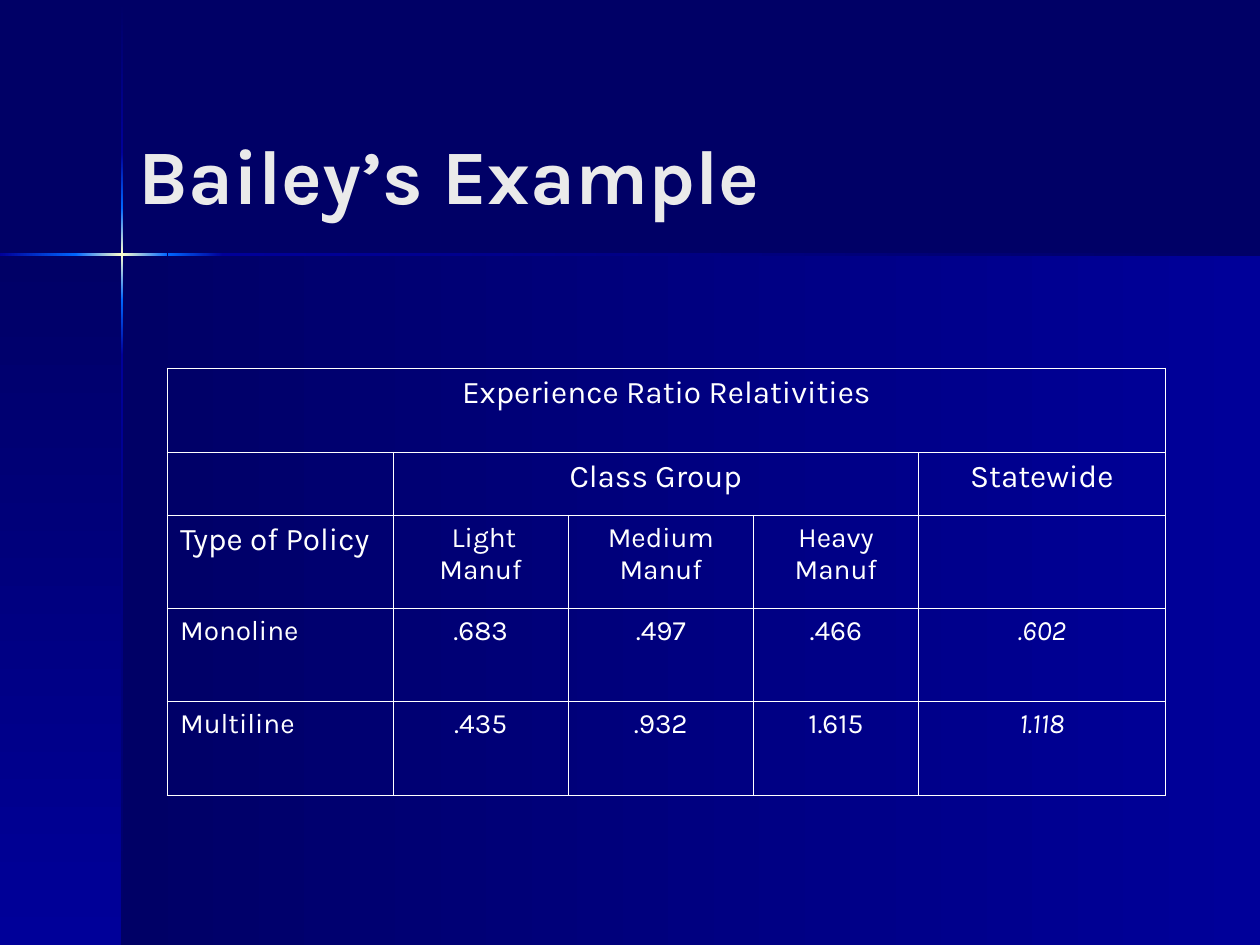
from lxml.etree import SubElement
from pptx import Presentation
from pptx.dml.color import RGBColor as Rgb
from pptx.enum.shapes import MSO_SHAPE as Shape
from pptx.enum.text import MSO_ANCHOR as Anchor, PP_ALIGN as Align
from pptx.oxml.ns import qn
from pptx.util import Inches, Pt

COLOURS = {
    "night": "000066",
    "navy": "000099",
    "blue": "0066FF",
    "glow": "FFFFCC",
    "title": "EAEAEA",
    "white": "FFFFFF",
}
GRID_COLUMNS, GRID_ROWS = 100, 75
DOWN, LEFTWARD = 90, 180
CROSS_X, CROSS_Y, BEAM = 9.7, 20.2, 0.2
THIN, THICK = 0.45, 1.08

TABLE_COLUMNS = [17.9, 13.9, 14.7, 13.1, 19.6]
TABLE_ROWS = [6.7, 5, 7.4, 7.4, 7.4]
TABLE_TEXT = [
    ["Experience Ratio Relativities", "", "", "", ""],
    ["", "Class Group", "", "", "Statewide"],
    ["Type of Policy", " Light Manuf", "Medium Manuf", "Heavy Manuf", ""],
    ["Monoline", ".683", ".497", ".466", ".602"],
    ["Multiline", ".435", ".932", "1.615", "1.118"],
]
MERGES = [((0, 0), (0, 4)), ((1, 1), (1, 3))]


class SlideBuilder:
    font = "Karla"

    def __init__(self, deck):
        self.cell_width = deck.slide_width / GRID_COLUMNS
        self.cell_height = deck.slide_height / GRID_ROWS
        self.page = deck.slides.add_slide(deck.slide_layouts[6])

    def across(self, columns):
        return round(columns * self.cell_width)

    def down(self, rows):
        return round(rows * self.cell_height)

    def place(self, left, top, width, height):
        return self.across(left), self.down(top), self.across(width), self.down(height)

    def background(self, colour):
        fill = self.page.background.fill
        fill.solid()
        fill.fore_color.rgb = Rgb.from_string(COLOURS[colour])

    def gradient_panel(self, area, colours, direction):
        """Add a borderless rectangle with evenly spaced gradient colours."""
        panel = self.page.shapes.add_shape(Shape.RECTANGLE, *self.place(*area))
        panel.shadow.inherit = False
        panel.line.fill.background()
        panel.fill.gradient()
        panel.fill.gradient_angle = 360 - direction
        stops = panel._element.spPr.find(".//" + qn("a:gsLst"))
        for stop in list(stops):
            stops.remove(stop)
        for index, colour in enumerate(colours):
            position = index * 100000 // (len(colours) - 1)
            stop = SubElement(stops, qn("a:gs"), pos=str(position))
            SubElement(stop, qn("a:srgbClr"), val=COLOURS[colour])

    def add_text(self, frame, text, colour="white", align=Align.LEFT, before=0, **style):
        para = frame.paragraphs[0]
        para.alignment = align
        para.space_before = Pt(before)
        span = para.add_run()
        span.text = text
        for name, value in {"name": self.font, **style}.items():
            setattr(span.font, name, value)
        span.font.color.rgb = Rgb.from_string(COLOURS[colour])

    def title(self, area, text):
        box = self.page.shapes.add_textbox(*self.place(*area))
        box.text_frame.word_wrap = True
        box.text_frame.vertical_anchor = Anchor.MIDDLE
        self.add_text(box.text_frame, text, "title", size=Pt(44), bold=True)

    def borders(self, cell, widths):
        properties = cell._tc.get_or_add_tcPr()
        for index, (side, width) in enumerate(widths.items()):
            line = SubElement(properties, qn(f"a:ln{side}"), w=str(Pt(width)))
            fill = SubElement(line, qn("a:solidFill"))
            SubElement(fill, qn("a:srgbClr"), val=COLOURS["white"])
            properties.insert(index, line)

    def table(self, left, top):
        area = self.place(left, top, sum(TABLE_COLUMNS), sum(TABLE_ROWS))
        size = len(TABLE_ROWS), len(TABLE_COLUMNS)
        table = self.page.shapes.add_table(*size, *area).table
        table.first_row = table.horz_banding = False
        for column, width in zip(table.columns, TABLE_COLUMNS):
            column.width = self.across(width)
        for row, height in zip(table.rows, TABLE_ROWS):
            row.height = self.down(height)
        for start, end in MERGES:
            table.cell(*start).merge(table.cell(*end))

        last = len(TABLE_COLUMNS) - 1
        for r, texts in enumerate(TABLE_TEXT):
            for c, text in enumerate(texts):
                cell = table.cell(r, c)
                cell.fill.background()
                self.borders(cell, {
                    "L": THICK if c == 0 else THIN,
                    "R": THICK if c == last else THIN,
                    "T": THIN,
                    "B": THIN,
                })
                if not text:
                    continue
                heading = r < 2 or (r, c) == (2, 0)
                points = 18 if heading else 16
                self.add_text(
                    cell.text_frame, text,
                    align=Align.LEFT if c == 0 and r > 0 else Align.CENTER,
                    before=points / 4,
                    size=Pt(points),
                    italic=r > 2 and c == last,
                )


def draw_backdrop(builder):
    builder.background("night")
    below = GRID_ROWS - CROSS_Y
    builder.gradient_panel(
        (CROSS_X, CROSS_Y, GRID_COLUMNS - CROSS_X, below), ("navy", "night"), LEFTWARD)
    builder.gradient_panel((0, CROSS_Y, CROSS_X, below), ("night", "navy"), DOWN)

    vertical_beams = [
        (0.1, 12.1, ("night", "navy")),
        (28.2, GRID_ROWS, ("navy", "night")),
        (23.8, 28.2, ("blue", "navy")),
        (12.1, 16.5, ("navy", "blue")),
        (16.5, 23.8, ("blue", "glow", "blue")),
    ]
    for start, end, colours in vertical_beams:
        area = (CROSS_X - BEAM / 2, start, BEAM, end - start)
        builder.gradient_panel(area, colours, DOWN)

    horizontal_beams = [
        (17.7, GRID_COLUMNS, ("night", "navy")),
        (0, 6.1, ("blue", "navy")),
        (13.3, 17.7, ("navy", "blue")),
        (6, 13.3, ("blue", "glow", "blue")),
    ]
    for start, end, colours in horizontal_beams:
        area = (start, CROSS_Y - BEAM / 2, end - start, BEAM)
        builder.gradient_panel(area, colours, LEFTWARD)


def main():
    deck = Presentation()
    deck.slide_width, deck.slide_height = Inches(10), Inches(7.5)
    builder = SlideBuilder(deck)
    draw_backdrop(builder)
    builder.title((10, 7.5, 85, 12.5), "Bailey’s Example")
    builder.table(13.3, 29.2)
    deck.save("out.pptx")


if __name__ == "__main__":
    main()
